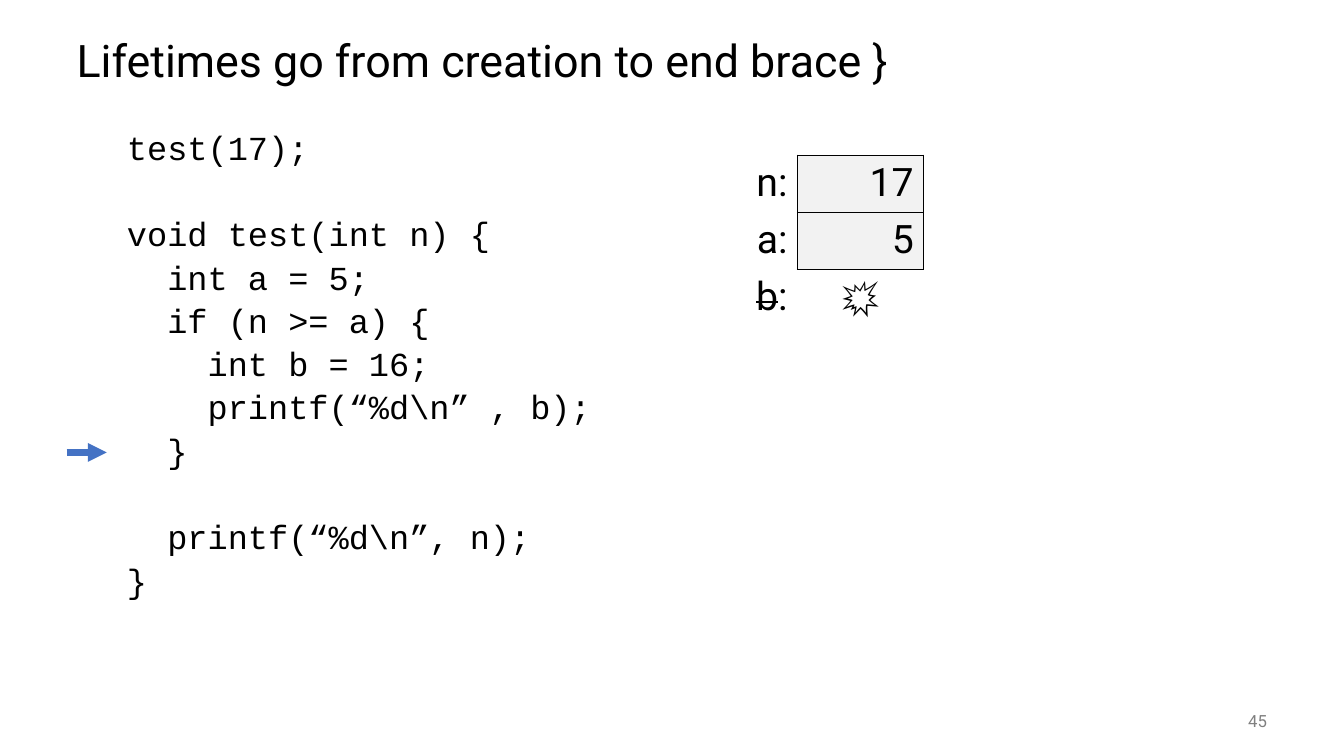
from lxml.etree import SubElement
from pptx import Presentation
from pptx.dml.color import RGBColor
from pptx.enum.shapes import MSO_CONNECTOR
from pptx.enum.text import MSO_ANCHOR, PP_ALIGN
from pptx.oxml.ns import qn
from pptx.util import Cm, Pt

TITLE = "Lifetimes go from creation to end brace }"
CODE = [
    "test(17);",
    "",
    "void test(int n) {",
    "  int a = 5;",
    "  if (n >= a) {",
    "    int b = 16;",
    "    printf(“%d\\n” , b);",
    "  }",
    "",
    "  printf(“%d\\n”, n);",
    "}",
]
VARIABLES = [("n", "17", True), ("a", "5", True), ("b", "💥", False)]
PAGE = "45"
COLORS = {"text": "000000", "page": "808080", "cell": "F2F2F2", "arrow": "4472C4"}
FORMATS = {
    "title": {"name": "Roboto", "size": Pt(32), "color": "text"},
    "code": {"name": "Courier New", "size": Pt(24), "color": "text"},
    "memory": {"name": "Roboto", "size": Pt(28), "color": "text"},
    "page": {"name": "Roboto", "size": Pt(12), "color": "page"},
}
LEFT, WIDTH = Cm(1.68), Cm(30.48)
LINE_GAP, BLANK_GAP = Pt(5), Pt(36)
COL_W, ROW_H = Cm(3.18), Cm(1.41)


def rgb(key):
    return RGBColor.from_string(COLORS[key])


def add_run(p, text, style):
    r = p.add_run()
    r.text = text
    for key, value in FORMATS[style].items():
        if key == "color":
            r.font.color.rgb = rgb(value)
        else:
            setattr(r.font, key, value)
    return r


def add_box(s, left, top, width, height, anchor):
    tf = s.shapes.add_textbox(left, top, width, height).text_frame
    tf.word_wrap = True
    tf.vertical_anchor = anchor
    return tf


def add_borders(cell):
    tcPr = cell._tc.get_or_add_tcPr()
    for i, side in enumerate(("lnL", "lnR", "lnT", "lnB")):
        ln = SubElement(tcPr, qn(f"a:{side}"), w=str(Pt(1)))
        fill = SubElement(ln, qn("a:solidFill"))
        SubElement(fill, qn("a:srgbClr"), val=COLORS["text"])
        tcPr.insert(i, ln)


def add_code(s):
    tf = add_box(s, LEFT, Cm(3.18), WIDTH, Cm(13.97), MSO_ANCHOR.TOP)
    p, gap = tf.paragraphs[0], Pt(0)
    for i, line in enumerate(CODE):
        if not line:
            gap = BLANK_GAP
            continue
        if i:
            p = tf.add_paragraph()
        p.line_spacing = 0.9
        p.space_before = gap
        p._p.get_or_add_pPr().set("marL", str(Cm(1.27)))
        add_run(p, line, "code")
        gap = LINE_GAP


def add_memory(s):
    rows = len(VARIABLES)
    frame = s.shapes.add_table(rows, 2, Cm(16.92), Cm(3.91), COL_W * 2, ROW_H * rows)
    table = frame.table
    table.first_row = table.horz_banding = False
    for col in table.columns:
        col.width = COL_W
    for i, (name, value, alive) in enumerate(VARIABLES):
        table.rows[i].height = ROW_H
        label, content = table.cell(i, 0), table.cell(i, 1)
        label.fill.background()
        p = label.text_frame.paragraphs[0]
        p.alignment = PP_ALIGN.RIGHT
        r = add_run(p, name, "memory")
        add_run(p, ":", "memory")
        p = content.text_frame.paragraphs[0]
        p.alignment = PP_ALIGN.RIGHT if alive else PP_ALIGN.CENTER
        add_run(p, value, "memory")
        if alive:
            content.fill.solid()
            content.fill.fore_color.rgb = rgb("cell")
            add_borders(content)
        else:
            content.fill.background()
            r._r.get_or_add_rPr().set("strike", "sngStrike")
    style = table._tbl.tblPr.find(qn("a:tableStyleId"))
    style.text = "{2D5ABB26-0587-4C30-8999-92F81FD0307C}"


def add_arrow(s):
    y = Cm(11.4)
    arrow = s.shapes.add_connector(MSO_CONNECTOR.STRAIGHT, LEFT, y, Cm(2.69), y)
    arrow.line.color.rgb = rgb("arrow")
    arrow.line.width = Pt(4.5)
    SubElement(arrow.line._get_or_add_ln(), qn("a:tailEnd"), type="triangle")
    SubElement(arrow._element.spPr, qn("a:effectLst"))


def main():
    prs = Presentation()
    prs.slide_width, prs.slide_height = Cm(33.87), Cm(19.05)
    s = prs.slides.add_slide(prs.slide_layouts[6])
    p = add_box(s, LEFT, Cm(0.64), WIDTH, Cm(1.9), MSO_ANCHOR.MIDDLE).paragraphs[0]
    p.line_spacing = 0.9
    add_run(p, TITLE, "title")
    add_code(s)
    p = add_box(s, Cm(29.64), Cm(17.65), Cm(2.54), Cm(1.02), MSO_ANCHOR.MIDDLE).paragraphs[0]
    p.alignment = PP_ALIGN.RIGHT
    add_run(p, PAGE, "page")
    add_memory(s)
    add_arrow(s)
    prs.save("out.pptx")


if __name__ == "__main__":
    main()
